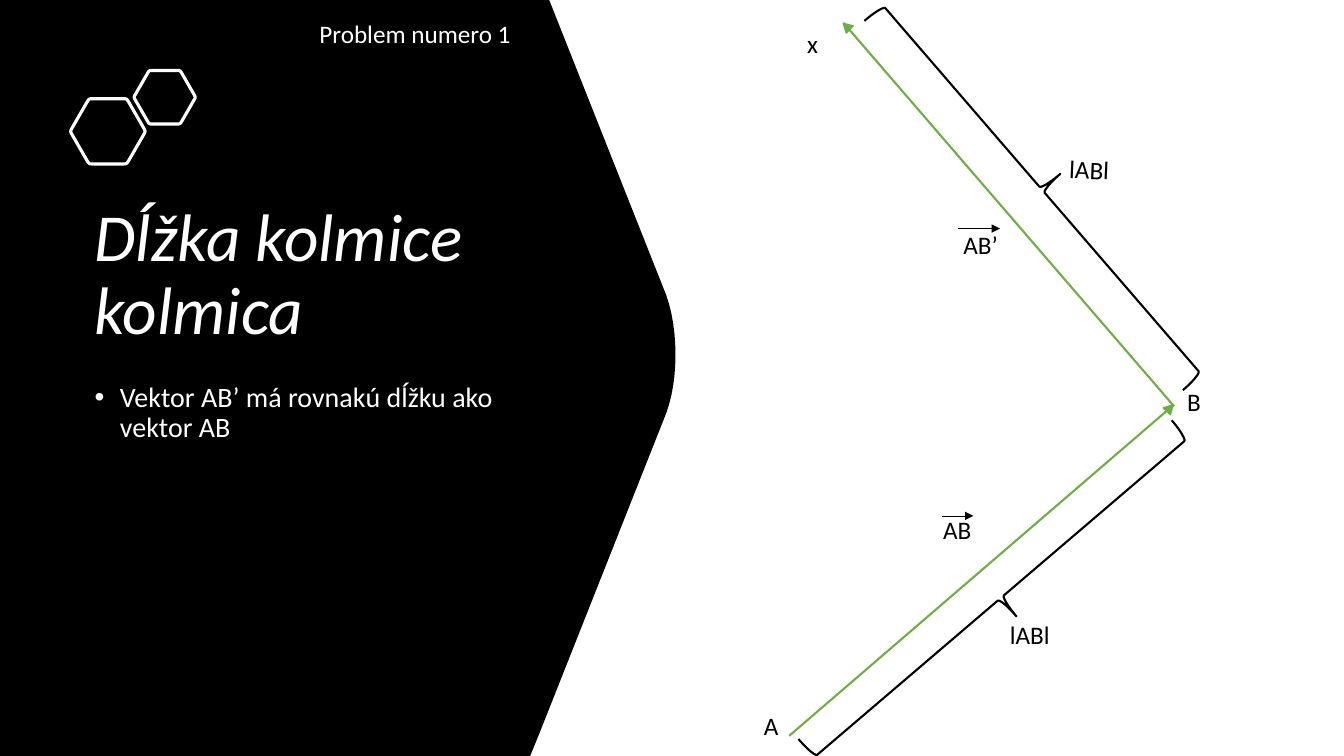
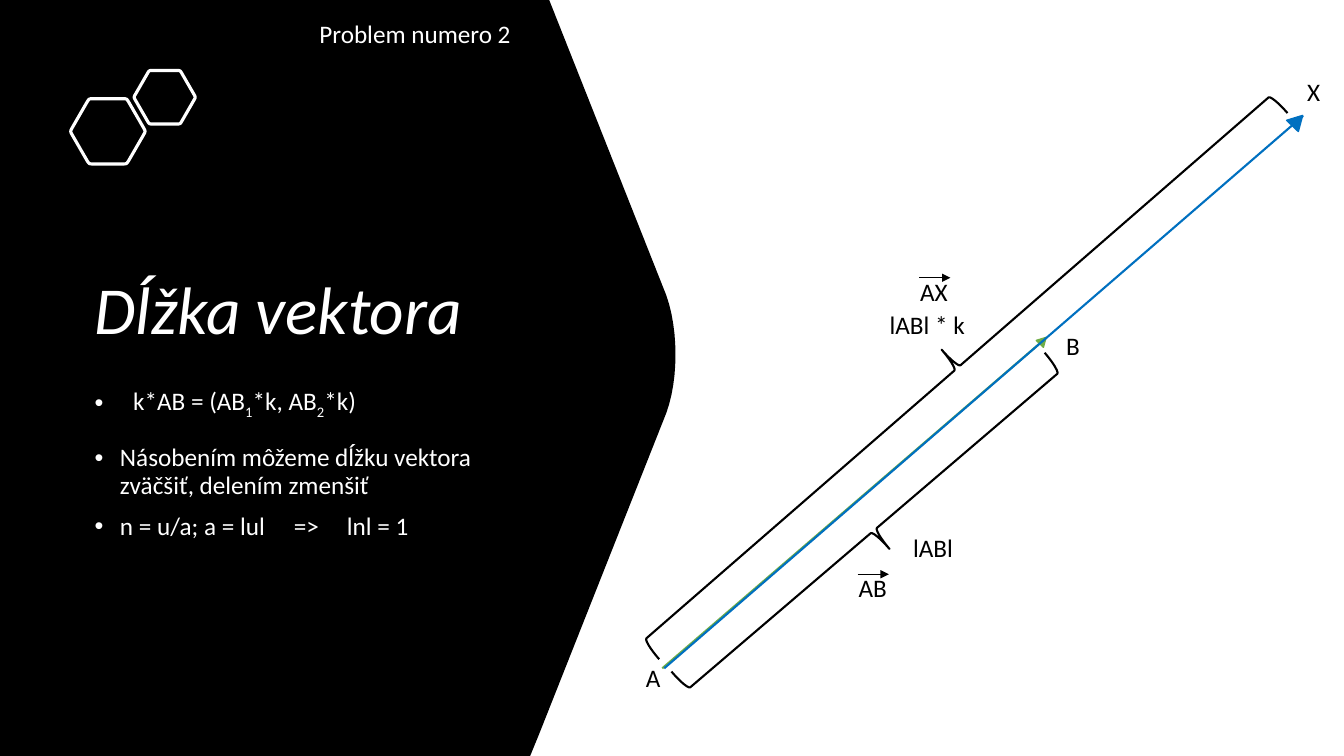
from dataclasses import dataclass
from math import cos, pi, sin

from lxml import etree
from pptx import Presentation
from pptx.dml.color import RGBColor
from pptx.enum.shapes import MSO_CONNECTOR, MSO_SHAPE
from pptx.enum.text import MSO_ANCHOR, MSO_AUTO_SIZE, PP_ALIGN
from pptx.oxml.ns import qn
from pptx.util import Cm, Pt

LINE = MSO_CONNECTOR.STRAIGHT
BRACE, HEAD = MSO_SHAPE.RIGHT_BRACE, MSO_SHAPE.ISOSCELES_TRIANGLE
LEFT, BOTTOM = PP_ALIGN.LEFT, MSO_ANCHOR.BOTTOM
FIXED, GROW = MSO_AUTO_SIZE.NONE, MSO_AUTO_SIZE.SHAPE_TO_FIT_TEXT


@dataclass(frozen=True)
class Theme:
    font: str = "Calibri"
    black: str = "000000"
    white: str = "FFFFFF"
    green: str = "70AD47"
    blue: str = "0070C0"
    head: int = 48
    lead: int = 20
    base: int = 18


THEME = Theme()


def paint(target, color):
    """Give a fill or a line one solid colour."""
    target.fill.solid()
    target.fill.fore_color.rgb = RGBColor.from_string(color)


def write(para, text, size=THEME.base, color=THEME.black, italic=False, shift=0):
    run = para.add_run()
    run.text = text
    font = run.font
    font.name, font.size, font.italic = THEME.font, Pt(size), italic
    font.color.rgb = RGBColor.from_string(color)
    if shift:
        run._r.get_or_add_rPr().set("baseline", str(shift))


def curve(start, pull, draw, end, steps=12):
    """Points along a cubic curve."""
    points = []
    for step in range(steps + 1):
        t = step / steps
        u = 1 - t
        points.append(tuple(
            u**3 * a + 3 * u * u * t * b + 3 * u * t * t * c + t**3 * d
            for a, b, c, d in zip(start, pull, draw, end)))
    return points


def hexa(x, y, size, cut=0.12):
    """Outline of a hexagon with rounded corners."""
    tips = [(x + size * cos(k * pi / 3), y + size * sin(k * pi / 3))
            for k in range(6)]
    points = []
    for k, tip in enumerate(tips):
        start, end = (
            tuple(a + cut * (b - a) for a, b in zip(tip, side))
            for side in (tips[k - 1], tips[(k + 1) % 6]))
        points += curve(start, tip, tip, end, 6)
    return points


BAND = [(0, 0), (13.84, 0),
        *curve((16.79, 7.44), (17.1, 8.3), (17.1, 9.58), (16.79, 10.41)),
        (13.59, 18.49), (13.36, 19.05), (0, 19.05)]
HEXES = [hexa(2.72, 3.31, 0.95), hexa(4.15, 2.45, 0.78)]


class Deck:
    def __init__(self):
        self.show = Presentation()
        self.show.slide_width, self.show.slide_height = Cm(33.87), Cm(19.05)

    def page(self, title, items, note, size=THEME.base):
        """Start a slide with the shared band, hexagons, title and list."""
        self.slide = self.show.slides.add_slide(self.show.slide_layouts[1])
        self.shapes = self.slide.shapes
        band = self.form(BAND, fill=THEME.black)
        band.element.getparent().insert(2, band.element)
        for points in HEXES:
            self.form(points, line=THEME.white)
        self.title(title)
        self.items(items, size)
        self.label(note, 7.8, 0.33, 5.38, color=THEME.white)

    def place(self, shape, x, y, wide, high):
        shape.left, shape.top = Cm(x), Cm(y)
        shape.width, shape.height = Cm(wide), Cm(high)

    def title(self, text):
        shape = self.shapes.title
        self.place(shape, 2.13, 2.87, 11.53, 6.05)
        frame = shape.text_frame
        frame.auto_size, frame.vertical_anchor = FIXED, BOTTOM
        para = frame.paragraphs[0]
        para.alignment, para.line_spacing = LEFT, 0.9
        write(para, text, size=THEME.head, color=THEME.white, italic=True)

    def items(self, items, size):
        """Fill the list; text between underscores is subscript."""
        shape = self.slide.placeholders[1]
        self.place(shape, 2.13, 9.53, 11.33, 7.62)
        frame = shape.text_frame
        frame.auto_size = FIXED
        for k, (text, inset, pitch, after, stops) in enumerate(items):
            para = frame.add_paragraph() if k else frame.paragraphs[0]
            para.line_spacing = pitch
            para.space_before, para.space_after = Pt(10), Pt(after)
            props = para._p.get_or_add_pPr()
            props.set("marL", str(Cm(inset)))
            props.set("indent", str(-Cm(inset)))
            if stops:
                tabs = etree.SubElement(props, qn("a:tabLst"))
                for stop in stops:
                    etree.SubElement(tabs, qn("a:tab"), pos=str(Cm(stop)), algn="l")
            for n, part in enumerate(text.split("_")):
                write(para, part, size=size, color=THEME.white,
                      shift=-25000 if n % 2 else 0)

    def form(self, points, fill=None, line=None):
        first, *rest = [(Cm(x), Cm(y)) for x, y in points]
        pen = self.shapes.build_freeform(*first)
        pen.add_line_segments(rest, close=True)
        shape = pen.convert_to_shape()
        self.style(shape, fill, line, 2.25)
        return shape

    def style(self, shape, fill, line, width):
        shape.shadow.inherit = False
        if fill:
            paint(shape, fill)
        else:
            shape.fill.background()
        if line:
            paint(shape.line, line)
            shape.line.width = Pt(width)
        else:
            shape.line.fill.background()

    def label(self, text, x, y, wide, color=THEME.black, wrap=False, turn=0):
        box = self.shapes.add_textbox(Cm(x), Cm(y), Cm(wide), Cm(1.02))
        box.rotation = turn
        frame = box.text_frame
        frame.word_wrap, frame.auto_size = wrap, GROW
        write(frame.paragraphs[0], text, color=color)

    def line(self, start, end, color, width):
        link = self.shapes.add_connector(LINE, *map(Cm, (*start, *end)))
        paint(link.line, color)
        link.line.width = Pt(width)
        etree.SubElement(link._element.spPr, qn("a:effectLst"))
        return link

    def hat(self, text, x, y, wide, over=(0.22, 0.17, 0.79)):
        """Label with a small vector arrow above it."""
        self.label(text, x, y, wide)
        dx, dy, span = over
        link = self.line((x + dx, y + dy), (x + dx + span, y + dy), THEME.black, 0.5)
        etree.SubElement(link.line._get_or_add_ln(), qn("a:tailEnd"), type="triangle")

    def vector(self, start, end, color, turn, size=0.25):
        """Line with a triangle whose tip sits at the end."""
        self.line(start, end, color, 1.5)
        high = 0.9 * size
        dx, dy = end[0] - start[0], end[1] - start[1]
        back = high / 2 / (dx * dx + dy * dy) ** 0.5
        self.solid(HEAD, end[0] - back * dx, end[1] - back * dy, size, high,
                   turn, fill=color, line=color, width=1)

    def brace(self, x, y, high, turn):
        self.solid(BRACE, x, y, 1.22, high, turn, line=THEME.black)

    def solid(self, kind, x, y, wide, high, turn, fill=None, line=None, width=1.5):
        """Preset shape turned about its centre."""
        shape = self.shapes.add_shape(
            kind, Cm(x - wide / 2), Cm(y - high / 2), Cm(wide), Cm(high))
        shape.rotation = turn
        self.style(shape, fill, line, width)


def main():
    deck = Deck()

    # Slide 1: a normal of equal length
    deck.page("Dĺžka kolmice kolmica",
              [("Vektor AB’ má rovnakú dĺžku ako vektor AB", 0.64, 0.9, 0, ())],
              "Problem numero 1", size=THEME.lead)
    deck.label("A", 19, 17.78, 0.89)
    deck.label("B", 29.67, 9.6, 0.86)
    deck.label("x", 20.09, 0.58, 0.79)
    deck.vector((19.89, 18.54), (29.57, 10.21), THEME.green, 44)
    deck.vector((29.59, 10.24), (21.26, 0.58), THEME.green, 314)
    deck.hat("AB’", 24.03, 5.66, 1.4, over=(0.1, 0.1, 1.07))
    deck.hat("AB", 23.52, 12.83, 1.22)
    deck.brace(25.22, 15.07, 12.37, 49.5)
    deck.brace(26.26, 4.78, 12.29, 319.2)
    deck.label("lABl", 25.2, 15.49, 1.8, wrap=True)
    deck.label("lABl", 26.7, 3.76, 1.8, wrap=True, turn=2.6)

    # Slide 2: a vector scaled by k
    deck.page("Dĺžka vektora",
              [("k*AB = (AB_1_*k, AB_2_*k)", 0.97, 1.07, 8, ()),
               ("Násobením môžeme dĺžku vektora zväčšiť, delením zmenšiť",
                0.64, 0.9, 0, ()),
               ("n = u/a; a = lul\t=>\tlnl = 1", 0.64, 0.9, 0, (5.02, 6.36))],
              "Problem numero 2")
    deck.label("A", 16.03, 16.56, 0.89)
    deck.label("B", 26.62, 8.2, 0.86)
    deck.label("X", 32.69, 1.8, 0.84)
    deck.vector((16.69, 16.84), (26.37, 8.51), THEME.green, 44)
    deck.vector((16.74, 16.84), (32.84, 2.92), THEME.blue, 44, size=0.41)
    deck.brace(22.02, 13.37, 12.37, 49.5)
    deck.brace(24.13, 9.27, 20.98, 229)
    deck.label("lABl", 22.76, 13.28, 1.8, wrap=True)
    deck.label("lABl * k", 22.17, 7.67, 2.74, wrap=True)
    deck.hat("AB", 21.39, 14.3, 1.22)
    deck.hat("AX", 22.94, 6.83, 1.22)

    deck.show.save("out.pptx")


if __name__ == "__main__":
    main()
